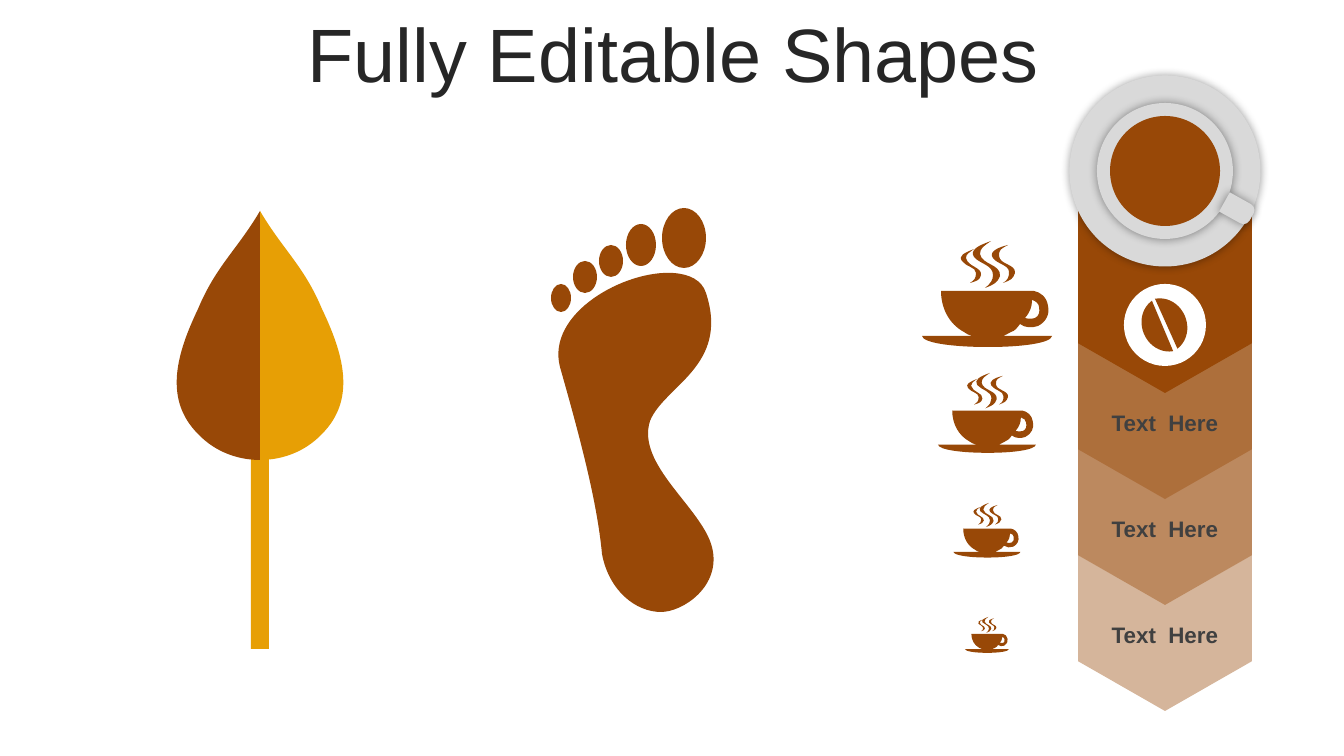
from lxml import etree
from pptx import Presentation
from pptx import util as u
from pptx.dml.color import RGBColor
from pptx.enum import shapes, text
from pptx.oxml.ns import qn

PX = 914400 / 134.4
BROWN, AMBER, GREY = "984807", "E79F05", "D9D9D9"
SHAPE = shapes.MSO_SHAPE
COLUMN_X = 1165
CUP_X, CUP_W = 987, 130

# Outlines in px: M and L take points, C takes groups of three points.
LEAF_HALF = ("M 260 211 L 260 460 C 238 460 215 452 198 434 "
             "163 399 177 353 198 309 216 266 237 250 260 211")
SOLE = ("M 673 273 C 689 274 702 280 706 293 730 366 664 386 650 421 "
        "636 465 702 508 712 547 722 586 683 612 661 612 "
        "636 612 609 591 602 554 597 500 579 434 560 367 546 313 625 270 673 273")
TOES = [(561, 298, 10, 14), (585, 277, 12, 16), (611, 261, 12, 16),
        (641, 245, 15, 21), (684, 238, 22, 30)]
CUP = [
    "M 110 59 C 110 66 108 71 103 77 106 78 110 78 113 77 "
    "117 75 118 71 117 66 117 63 114 60 110 59",
    "M 112 50 C 118 51 125 56 126 65 128 73 124 81 116 85 110 87 103 87 98 83 "
    "95 87 93 90 89 91 86 93 83 94 81 95 L 130 95 "
    "C 129 102 101 106 66 106 31 106 1 102 0 95 L 51 95 "
    "C 47 94 44 93 42 91 27 83 19 67 19 50",
    "M 52 8 C 47 12 44 13 44 17 46 26 60 26 59 34 58 39 55 40 48 42 "
    "52 39 54 38 54 32 54 26 44 26 40 20 36 15 42 12 52 8",
    "M 86 4 C 79 8 77 8 77 15 78 24 94 23 93 32 91 38 89 39 81 42 "
    "86 39 87 36 87 31 87 24 75 23 71 17 67 12 73 7 86 4",
    "M 69 0 C 62 5 58 7 58 13 60 24 79 23 78 35 75 42 73 43 63 47 "
    "69 42 71 39 71 34 71 24 58 23 52 16 48 9 55 5 69 0",
]


def px(n):
    return u.Emu(round(n * PX))


def rgb(value):
    return RGBColor.from_string(value)


def paint(sp, color, alpha=None, shadow=False):
    """Solid fill without a line; alpha is the opacity in percent."""
    sp.shadow.inherit = False
    sp.fill.solid()
    sp.fill.fore_color.rgb = rgb(color)
    sp.line.fill.background()
    spPr = sp.element.spPr
    if alpha:
        clr = spPr.find(qn("a:solidFill")).find(qn("a:srgbClr"))
        etree.SubElement(clr, qn("a:alpha"), val=str(alpha * 1000))
    if shadow:
        outer = etree.SubElement(spPr.find(qn("a:effectLst")), qn("a:outerShdw"),
                                 blurRad=str(u.Pt(5)), dist="0", dir="0",
                                 algn="ctr", rotWithShape="0")
        clr = etree.SubElement(outer, qn("a:srgbClr"), val="000000")
        etree.SubElement(clr, qn("a:alpha"), val="40000")


def add_preset(s, kind, x, y, w, h, color, rotation=0, adj=(), **effects):
    sp = s.shapes.add_shape(kind, px(x), px(y), px(w), px(h))
    sp.rotation = rotation
    for i, value in enumerate(adj):
        sp.adjustments[i] = value
    paint(sp, color, **effects)


def add_disc(s, cx, cy, d, color, **effects):
    add_preset(s, SHAPE.OVAL, cx - d / 2, cy - d / 2, d, d, color, **effects)


def trace(outline):
    """Split an outline string into segments of one (line) or three (curve) points."""
    segments, group, need = [], [], 1
    tokens = iter(outline.split())
    for token in tokens:
        if token.isalpha():
            need = 3 if token == "C" else 1
            continue
        group.append((int(token), int(next(tokens))))
        if len(group) == need:
            segments.append(group)
            group = []
    return segments


def oval(cx, cy, rx, ry):
    """Segments of an ellipse made of four curves."""
    k = 0.55
    segments = [[(cx + rx, cy)]]
    for a, b in ((1, 0), (0, 1), (-1, 0), (0, -1)):
        unit = ((a - k * b, b + k * a), (k * a - b, k * b + a), (-b, a))
        segments.append([(cx + rx * ux, cy + ry * uy) for ux, uy in unit])
    return segments


def bend(sp, sizes):
    """Merge each run of three straight segments into one cubic curve."""
    lines = iter(list(sp.element.iter(qn("a:lnTo"))))
    for size in sizes:
        first, *others = [next(lines) for _ in range(size)]
        for line in others:
            first.append(line[0])
            line.getparent().remove(line)
        if others:
            first.tag = qn("a:cubicBezTo")


def add_outline(s, contours, color, x=0, y=0, scale=1):
    """Draw closed contours as one freeform, scaled and then moved to x, y."""
    builder, sizes = None, []
    for contour in contours:
        start, *rest = [(px(x + cx * scale), px(y + cy * scale))
                        for segment in contour for cx, cy in segment]
        if builder is None:
            builder = s.shapes.build_freeform(*start)
        else:
            builder.move_to(*start)
        builder.add_line_segments(rest, close=True)
        sizes += [len(segment) for segment in contour[1:]]
    sp = builder.convert_to_shape()
    bend(sp, sizes)
    paint(sp, color)


def write(tf, words, size, color, bold=False):
    tf.word_wrap = True
    p = tf.paragraphs[0]
    p.alignment = text.PP_ALIGN.CENTER
    r = p.add_run()
    r.text = words
    r.font.name = "Arial"
    r.font.size = u.Pt(size)
    r.font.bold = bold
    r.font.color.rgb = rgb(color)


def add_title(s, words):
    sp = s.shapes.title
    sp.left, sp.top, sp.width, sp.height = px(36), px(13), px(1275), px(79)
    tf = sp.text_frame
    tf.auto_size = text.MSO_AUTO_SIZE.NONE
    tf.vertical_anchor = text.MSO_ANCHOR.MIDDLE
    write(tf, words, 40.5, "262626")


def add_label(s, y, words):
    box = s.shapes.add_textbox(px(COLUMN_X - 72), px(y), px(144), px(40))
    write(box.text_frame, words, 12, "404040", bold=True)


def add_leaf(s):
    add_preset(s, SHAPE.RECTANGLE, 251, 458, 18, 191, AMBER)
    half = trace(LEAF_HALF)
    add_outline(s, [half], BROWN)
    add_outline(s, [[[(520 - x, y) for x, y in segment] for segment in half]], AMBER)


def add_arrow_column(s):
    top, width, step = 182, 174, 106
    for i in (3, 2, 1, 0):
        length = 211 + step * i
        add_preset(s, SHAPE.PENTAGON, COLUMN_X - length / 2, top + (length - width) / 2,
                   length, width, BROWN, rotation=90, adj=[0.286],
                   alpha=40 if i else None)
    for i in range(3):
        add_label(s, 403 + step * i, "Text  Here")


def add_coffee_from_above(s):
    add_disc(s, COLUMN_X, 171, 191, GREY, shadow=True)
    add_disc(s, COLUMN_X, 171, 136, GREY, shadow=True)
    add_disc(s, COLUMN_X, 171, 110, BROWN)
    add_preset(s, SHAPE.ROUND_2_SAME_RECTANGLE, 1227, 194, 22, 31, GREY,
               rotation=119.1, adj=[0.308, 0], shadow=True)


def add_bean(s):
    add_disc(s, COLUMN_X, 325, 82, "FFFFFF")
    for x, y, adj in ((1142, 296, [60.94, 155.89]), (1136, 298, [168.11, 47.06])):
        add_preset(s, SHAPE.CHORD, x, y, 51, 56, BROWN, rotation=336.5, adj=adj)


def main():
    prs = Presentation()
    prs.slide_width, prs.slide_height = px(1344), px(756)
    s = prs.slides.add_slide(prs.slide_layouts[5])
    add_title(s, "Fully Editable Shapes")
    add_leaf(s)
    add_arrow_column(s)
    add_coffee_from_above(s)
    add_bean(s)
    cup = [trace(outline) for outline in CUP]
    for y, width in ((241, 130), (373, 98), (503, 67), (617, 44)):
        add_outline(s, cup, BROWN, CUP_X - width / 2, y, width / CUP_W)
    add_outline(s, [trace(SOLE)] + [oval(*toe) for toe in TOES], BROWN)
    prs.save("out.pptx")


if __name__ == "__main__":
    main()
